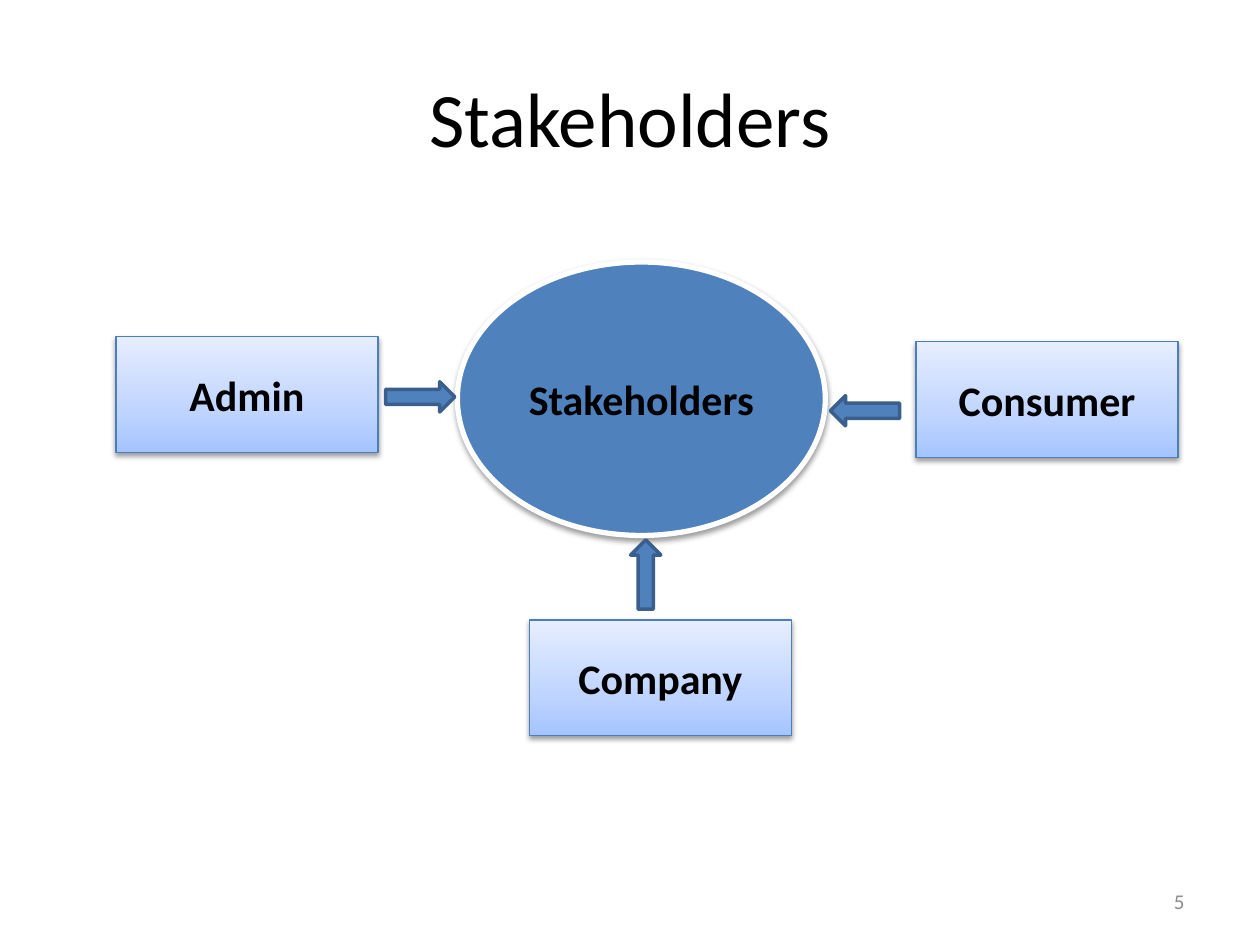
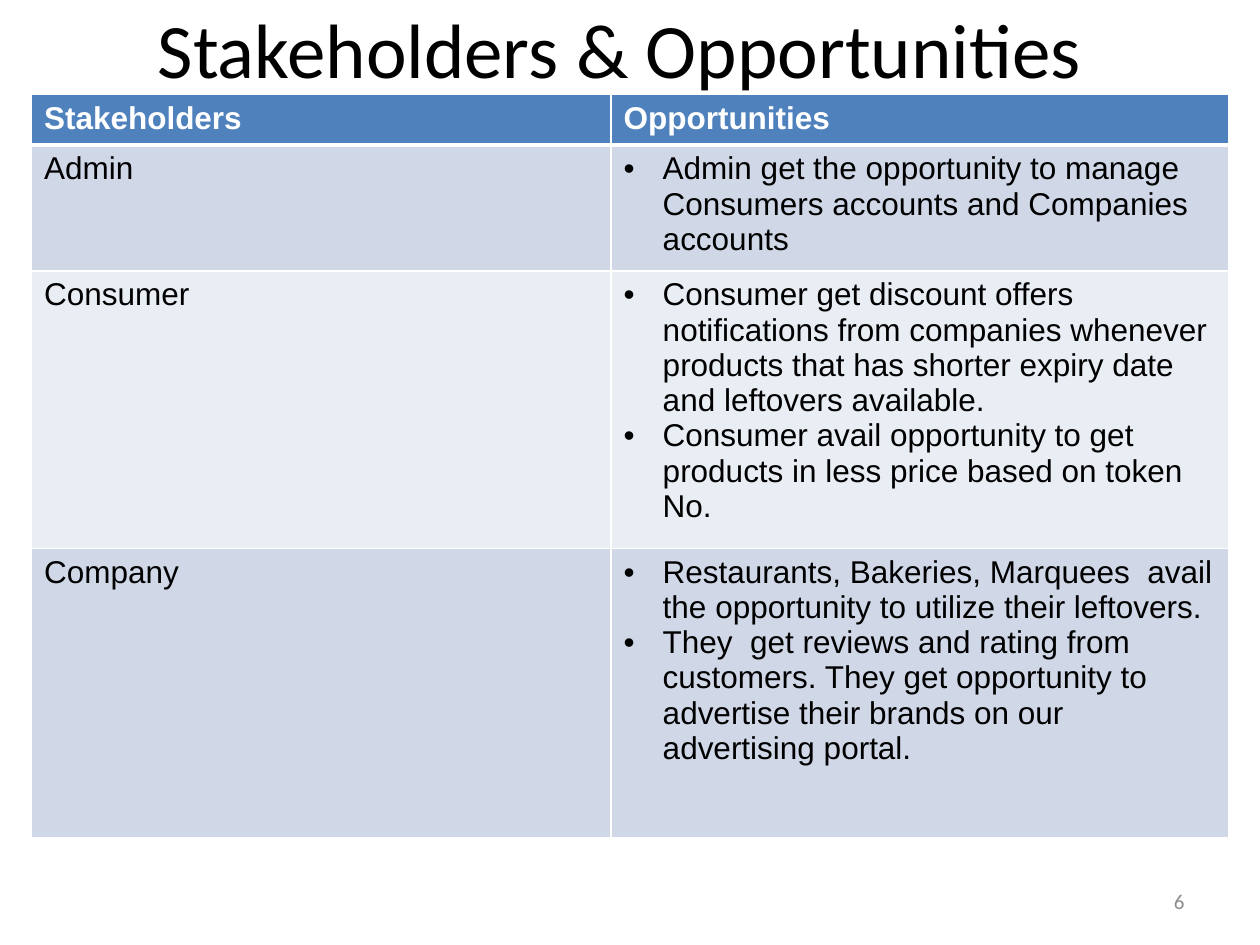
import pptx
import pptx.util
import pptx.oxml
import pptx.oxml.ns
from pptx.dml.color import RGBColor
from pptx.enum.shapes import MSO_SHAPE
from pptx.enum.text import MSO_ANCHOR, PP_ALIGN
from pptx.util import Inches, Pt
from lxml import etree


# Theme
class Theme:
    heading_font, table_font = "Calibri", "Arial"
    title_size, node_size, table_size, number_size = 44, 24, 18, 12
    black, white, grey = "000000", "FFFFFF", "8C8C8C"
    blue, arrow_edge, box_edge = "4F81BD", "3A5F8C", "4B7EBC"
    box_gradient = [(0, "A4C4FF"), (35, "BFD4FF"), (100, "E6EEFF")]
    bands = ["D0D8E8", "E9EDF4"]


# Content: places are left, top, width, height in inches
DIAGRAM_TITLE = "Stakeholders", (0.5, 0.3, 9, 1.25)
HUB = "Stakeholders", (3.63, 2.08, 2.92, 2.17)
BOX_SIZE = 2.08, 0.92
BOXES = [("Company", 4.2, 4.92), ("Consumer", 7.27, 2.71), ("Admin", 0.92, 2.67)]
ARROW_SIZE = 0.55, 0.24
ARROWS = [(3.06, 3.03, 0), (6.59, 3.14, 180), (4.85, 4.44, 270)]

TABLE_TITLE = "Stakeholders & Opportunities", (0.42, -0.25, 9, 1.25)
TABLE_ORIGIN = 0.25, 0.75
COLUMN_WIDTHS = [4.6, 4.9]
ROW_HEIGHTS = [0.38, 0.67, 2.1, 2.3]
HEADER = ["Stakeholders", "Opportunities"]
OPPORTUNITIES = [
    ("Admin", ["Admin get the opportunity to manage Consumers accounts and Companies accounts"]),
    ("Consumer", [
        "Consumer get discount offers notifications from companies whenever products "
        "that has shorter expiry date and leftovers available.",
        "Consumer avail opportunity to get products in less price based on token No."]),
    ("Company", [
        "Restaurants, Bakeries, Marquees  avail the opportunity to utilize their leftovers.",
        "They  get reviews and rating from customers. They get opportunity to "
        "advertise their brands on our advertising portal."]),
]
NUMBER_PLACE = 7.17, 6.95, 2.33, 0.4
FIRST_NUMBER = 5


# Helpers
def rgb(code):
    return RGBColor.from_string(code)


def child(parent, tag, **attributes):
    element = etree.SubElement(parent, pptx.oxml.ns.qn(tag))
    for name, value in attributes.items():
        element.set(name, str(value))
    return element


def write(frame, lines, font=Theme.heading_font, size=Theme.node_size, color=Theme.black,
          bold=False, align=PP_ALIGN.CENTER, anchor=MSO_ANCHOR.MIDDLE, bullet=False):
    frame.word_wrap = True
    frame.vertical_anchor = anchor
    for index, line in enumerate(lines):
        paragraph = frame.add_paragraph() if index else frame.paragraphs[0]
        paragraph.alignment = align
        run = paragraph.add_run()
        run.text = line
        run.font.name, run.font.size, run.font.bold = font, Pt(size), bold
        run.font.color.rgb = rgb(color)
        if bullet:
            properties = paragraph._p.get_or_add_pPr()
            properties.set("marL", str(Inches(0.31)))
            properties.set("indent", str(-Inches(0.31)))
            child(properties, "a:buFont", typeface=Theme.table_font)
            child(properties, "a:buChar", char="•")


def add_figure(slide, preset, place, edge, edge_width, fill=Theme.blue):
    figure = slide.shapes.add_shape(preset, *map(Inches, place))
    figure.shadow.inherit = False
    figure.fill.solid()
    figure.fill.fore_color.rgb = rgb(fill)
    figure.line.color.rgb = rgb(edge)
    figure.line.width = Pt(edge_width)
    return figure


def add_shadow(figure):
    effects = figure._element.spPr.find(pptx.oxml.ns.qn("a:effectLst"))
    shadow = child(effects, "a:outerShdw", blurRad=Pt(3.1), dist=Pt(1.6),
                   dir=5400000, rotWithShape=0)
    child(child(shadow, "a:srgbClr", val=Theme.black), "a:alpha", val=38000)


def shade(figure, stops):
    figure.fill.gradient()
    figure.fill.gradient_angle = 90
    stop_list = figure._element.spPr.find(".//" + pptx.oxml.ns.qn("a:gsLst"))
    for stop in list(stop_list):
        stop_list.remove(stop)
    for position, color in stops:
        child(child(stop_list, "a:gs", pos=position * 1000), "a:srgbClr", val=color)


def style_cell(cell, fill, top=1, bottom=1):
    properties = cell._tc.get_or_add_tcPr()
    for side, width in zip("LRTB", (1, 1, top, bottom)):
        border = child(properties, "a:ln" + side, w=Pt(width))
        child(child(border, "a:solidFill"), "a:srgbClr", val=Theme.white)
    cell.fill.solid()
    cell.fill.fore_color.rgb = rgb(fill)


def add_slide(deck, title, place):
    slide = deck.slides.add_slide(deck.slide_layouts[5])
    heading = slide.shapes.title
    heading.left, heading.top, heading.width, heading.height = map(Inches, place)
    write(heading.text_frame, [title], size=Theme.title_size)
    number = slide.shapes.add_textbox(*map(Inches, NUMBER_PLACE))
    write(number.text_frame, [str(FIRST_NUMBER + len(deck.slides) - 1)],
          size=Theme.number_size, color=Theme.grey, align=PP_ALIGN.RIGHT)
    return slide


# Slides
def build_diagram(deck):
    slide = add_slide(deck, *DIAGRAM_TITLE)
    hub_label, hub_place = HUB
    hub = add_figure(slide, MSO_SHAPE.OVAL, hub_place, Theme.white, 3)
    add_shadow(hub)
    write(hub.text_frame, [hub_label], bold=True)
    for label, left, top in BOXES:
        box = add_figure(slide, MSO_SHAPE.RECTANGLE, (left, top, *BOX_SIZE), Theme.box_edge, 0.75)
        shade(box, Theme.box_gradient)
        add_shadow(box)
        write(box.text_frame, [label], bold=True)
    for left, top, rotation in ARROWS:
        arrow = add_figure(slide, MSO_SHAPE.RIGHT_ARROW, (left, top, *ARROW_SIZE),
                           Theme.arrow_edge, 2)
        arrow.rotation = rotation


def build_table(deck):
    slide = add_slide(deck, *TABLE_TITLE)
    size = sum(COLUMN_WIDTHS), sum(ROW_HEIGHTS)
    table = slide.shapes.add_table(len(ROW_HEIGHTS), len(COLUMN_WIDTHS),
                                   *map(Inches, TABLE_ORIGIN + size)).table
    for column, width in zip(table.columns, COLUMN_WIDTHS):
        column.width = Inches(width)
    for row, height in zip(table.rows, ROW_HEIGHTS):
        row.height = Inches(height)

    body = dict(font=Theme.table_font, size=Theme.table_size,
                align=PP_ALIGN.LEFT, anchor=MSO_ANCHOR.TOP)
    for column, label in enumerate(HEADER):
        cell = table.cell(0, column)
        style_cell(cell, Theme.blue, bottom=3)
        write(cell.text_frame, [label], color=Theme.white, bold=True, **body)
    for row, (stakeholder, points) in enumerate(OPPORTUNITIES, 1):
        for column, lines in enumerate(([stakeholder], points)):
            cell = table.cell(row, column)
            style_cell(cell, Theme.bands[(row - 1) % 2], top=3 if row == 1 else 1)
            write(cell.text_frame, lines, bullet=column == 1, **body)


def main():
    deck = pptx.Presentation()
    deck.slide_width, deck.slide_height = Inches(10), Inches(7.5)
    build_diagram(deck)
    build_table(deck)
    deck.save("out.pptx")


if __name__ == "__main__":
    main()
